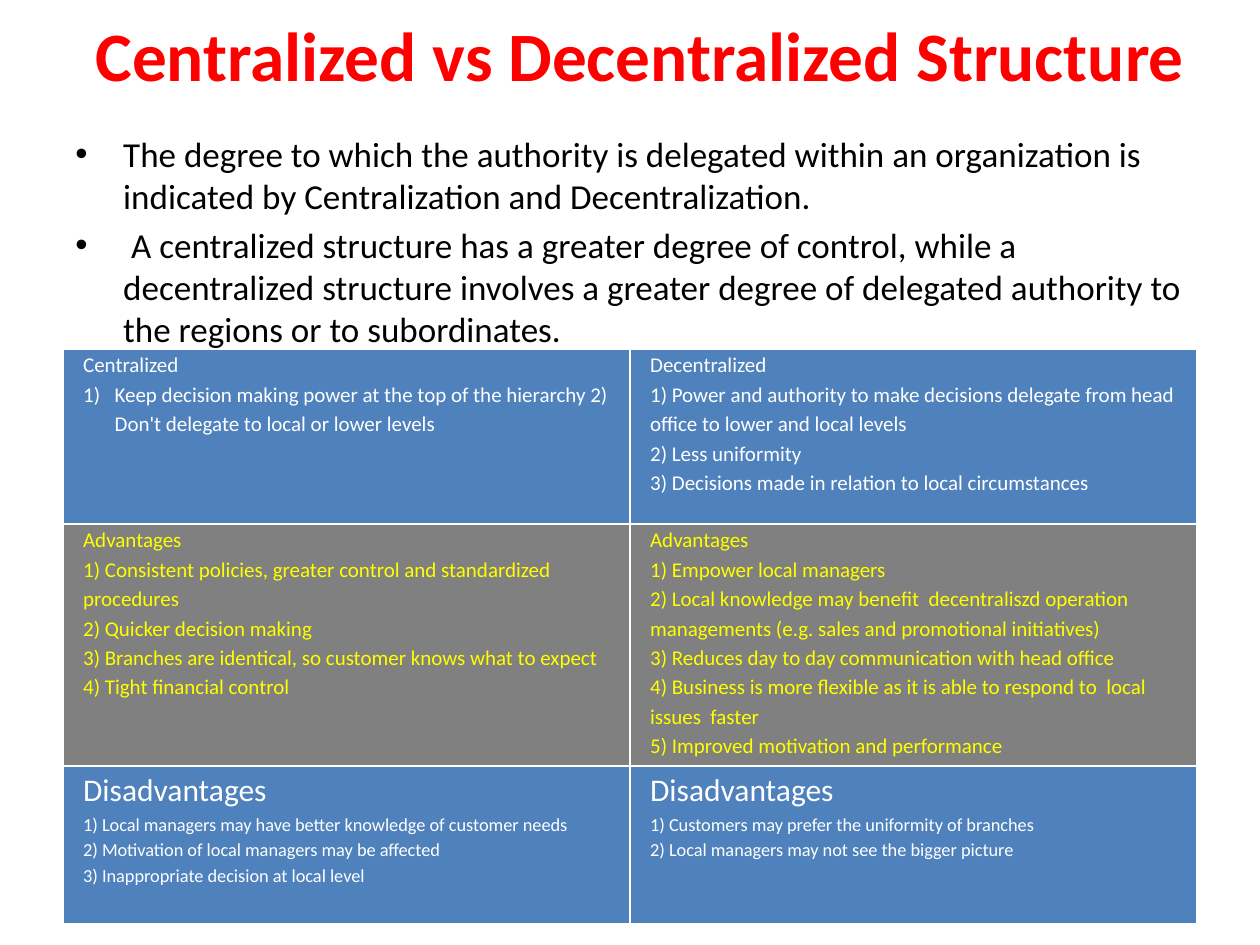
from lxml import etree
from pptx import Presentation
from pptx import util as u
from pptx.dml.color import RGBColor
from pptx.enum import text
from pptx.oxml.ns import qn

THEME = dict(
    font="Calibri", red="FF0000", black="000000", white="FFFFFF", yellow="FFFF00",
    blue="4F81BD", gray="808080",
    title=39.6, body=20, cell=12, head=18, small=10.5,
)
COLS, ROWS = 20, 15  # slide grid

prs = Presentation()
prs.slide_width, prs.slide_height = u.Inches(10), u.Inches(7.5)
CW, RH = prs.slide_width / COLS, prs.slide_height / ROWS
s = prs.slides.add_slide(prs.slide_layouts[6])


def box(x, y, w, h):
    """Grid columns and rows to slide lengths."""
    return [u.Emu(round(n)) for n in (x * CW, y * RH, w * CW, h * RH)]


def write(tf, content, size, color, bold=False, align=None, bullet=None,
          indent=0, spacing=None, before=None):
    """Fill the empty first paragraph of a text frame, or add one after the rest."""
    p = tf.paragraphs[-1] if not tf.text else tf.add_paragraph()
    p.text = content
    p.alignment, p.line_spacing = align, spacing
    if before is not None:
        p.space_before = u.Pt(before)
    if bullet:
        pPr = p._p.get_or_add_pPr()
        pPr.set("marL", str(u.Inches(indent)))
        pPr.set("indent", str(-u.Inches(indent)))
        if bullet == "•":
            etree.SubElement(pPr, qn("a:buFont"), typeface="Arial")
            etree.SubElement(pPr, qn("a:buChar"), char=bullet)
        else:
            etree.SubElement(pPr, qn("a:buFont"), typeface="+mj-lt")
            etree.SubElement(pPr, qn("a:buAutoNum"), type=bullet)
    for r in p.runs:
        r.font.name, r.font.size, r.font.bold = THEME["font"], u.Pt(size), bold
        r.font.color.rgb = RGBColor.from_string(THEME[color])
    for br in p._p.findall(qn("a:br")):
        etree.SubElement(br, qn("a:rPr"), sz=str(round(size * 100)))


# Title
tf = s.shapes.add_textbox(*box(1.16, 0.04, 18, 1.62)).text_frame
tf.word_wrap, tf.vertical_anchor = True, text.MSO_ANCHOR.MIDDLE
write(tf, "Centralized vs Decentralized Structure", THEME["title"], "red",
      bold=True, align=text.PP_ALIGN.CENTER)

# Introduction
tf = s.shapes.add_textbox(*box(1, 2, 18, 13)).text_frame
tf.word_wrap = True
intro = [
    "The degree to which the authority is delegated within an organization is indicated by "
    "Centralization and Decentralization.",
    " A centralized structure has a greater degree of control, while a decentralized structure "
    "involves a greater degree of delegated authority to the regions or to subordinates.",
]
for i, line in enumerate(intro):
    write(tf, line, THEME["body"], "black", bullet="•", indent=0.38, before=4 * i)

# Table contents: each cell is a heading and its points
features = [
    ("Centralized",
     "Keep decision making power at the top of the hierarchy 2) "
     "Don't delegate to local or lower levels"),
    ("Decentralized",
     "1) Power and authority to make decisions delegate from head office to lower and local levels\n"
     "2) Less uniformity\n"
     "3) Decisions made in relation to local circumstances"),
]
advantages = [
    ("Advantages",
     "1) Consistent policies, greater control and standardized procedures\n"
     "2) Quicker decision making\n"
     "3) Branches are identical, so customer knows what to expect\n"
     "4) Tight financial control"),
    ("Advantages",
     "1) Empower local managers\n"
     "2) Local knowledge may benefit  decentraliszd operation managements "
     "(e.g. sales and promotional initiatives)\n"
     "3) Reduces day to day communication with head office\n"
     "4) Business is more flexible as it is able to respond to  local issues  faster\n"
     "5) Improved motivation and performance"),
]
disadvantages = [
    ("Disadvantages",
     "1) Local managers may have better knowledge of customer needs\n"
     "2) Motivation of local managers may be affected\n"
     "3) Inappropriate decision at local level"),
    ("Disadvantages",
     "1) Customers may prefer the uniformity of branches\n"
     "2) Local managers may not see the bigger picture"),
]

# Tables: top row, then (grid rows, cells, fill, text colour, heading size, point size)
tables = [
    (5.54, [(2.78, features, "blue", "white", THEME["cell"], THEME["cell"]),
            (3.92, advantages, "gray", "yellow", THEME["cell"], THEME["cell"])]),
    (12.16, [(2.5, disadvantages, "blue", "white", THEME["head"], THEME["small"])]),
]
for top, rows in tables:
    height = sum(row[0] for row in rows)
    tbl = s.shapes.add_table(len(rows), 2, *box(1, top, 18, height)).table
    for i, (h, cells, fill, color, head, points) in enumerate(rows):
        tbl.rows[i].height = u.Emu(round(h * RH))
        for j, (heading, content) in enumerate(cells):
            cell = tbl.cell(i, j)
            cell.margin_left = cell.margin_right = u.Inches(0.16)
            cell.margin_top = cell.margin_bottom = 0
            # Borders come before the fill in the cell properties
            tcPr = cell._tc.get_or_add_tcPr()
            for side in ("lnL", "lnR", "lnT", "lnB"):
                ln = etree.SubElement(tcPr, qn(f"a:{side}"), w=str(u.Pt(1)))
                solid = etree.SubElement(ln, qn("a:solidFill"))
                etree.SubElement(solid, qn("a:srgbClr"), val=THEME["white"])
            cell.fill.solid()
            cell.fill.fore_color.rgb = RGBColor.from_string(THEME[fill])
            numbered = "arabicParenR" if heading == "Centralized" else None
            write(cell.text_frame, heading, head, color, spacing=1.15)
            write(cell.text_frame, content, points, color, spacing=1.15,
                  bullet=numbered, indent=0.25)

prs.save("out.pptx")
